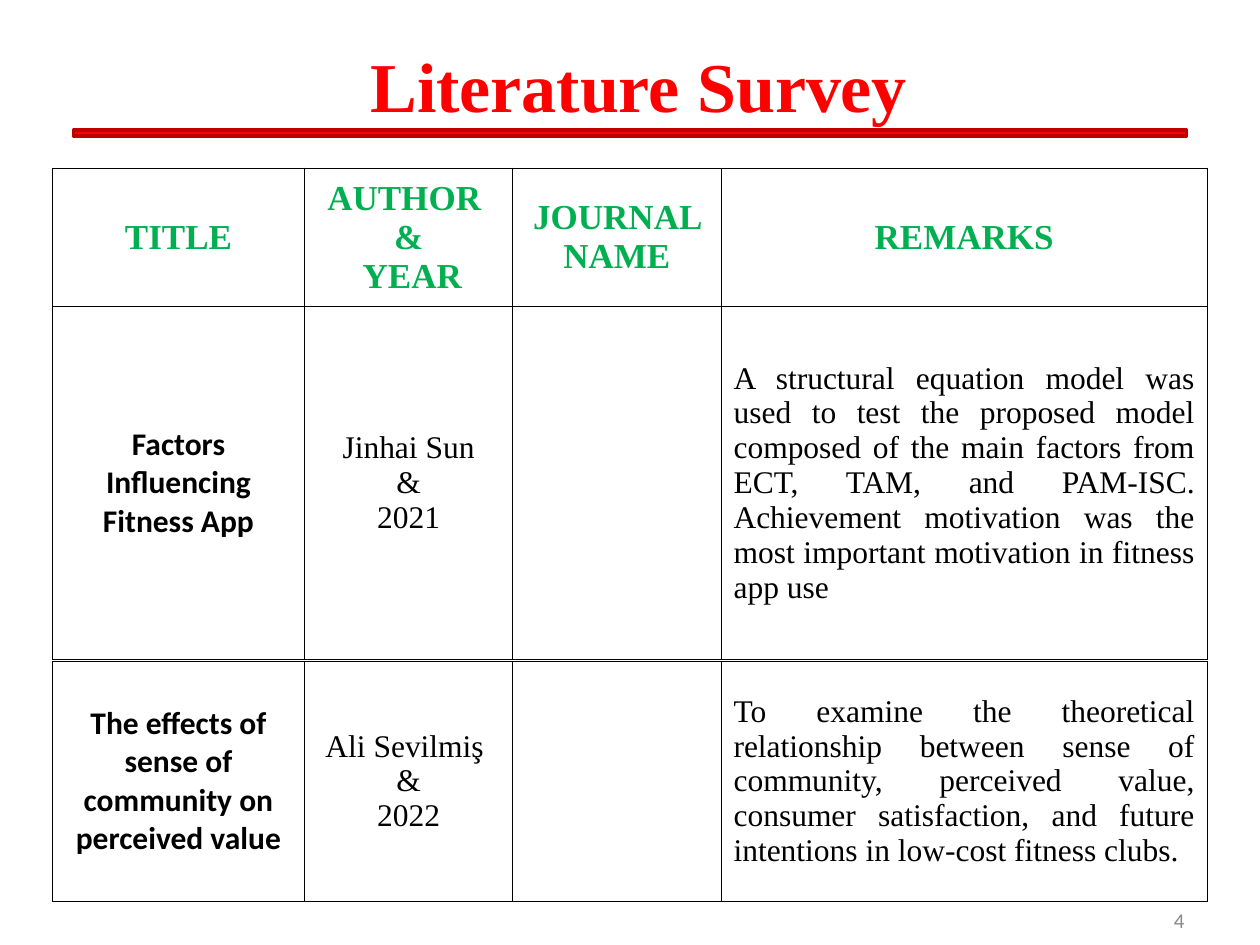
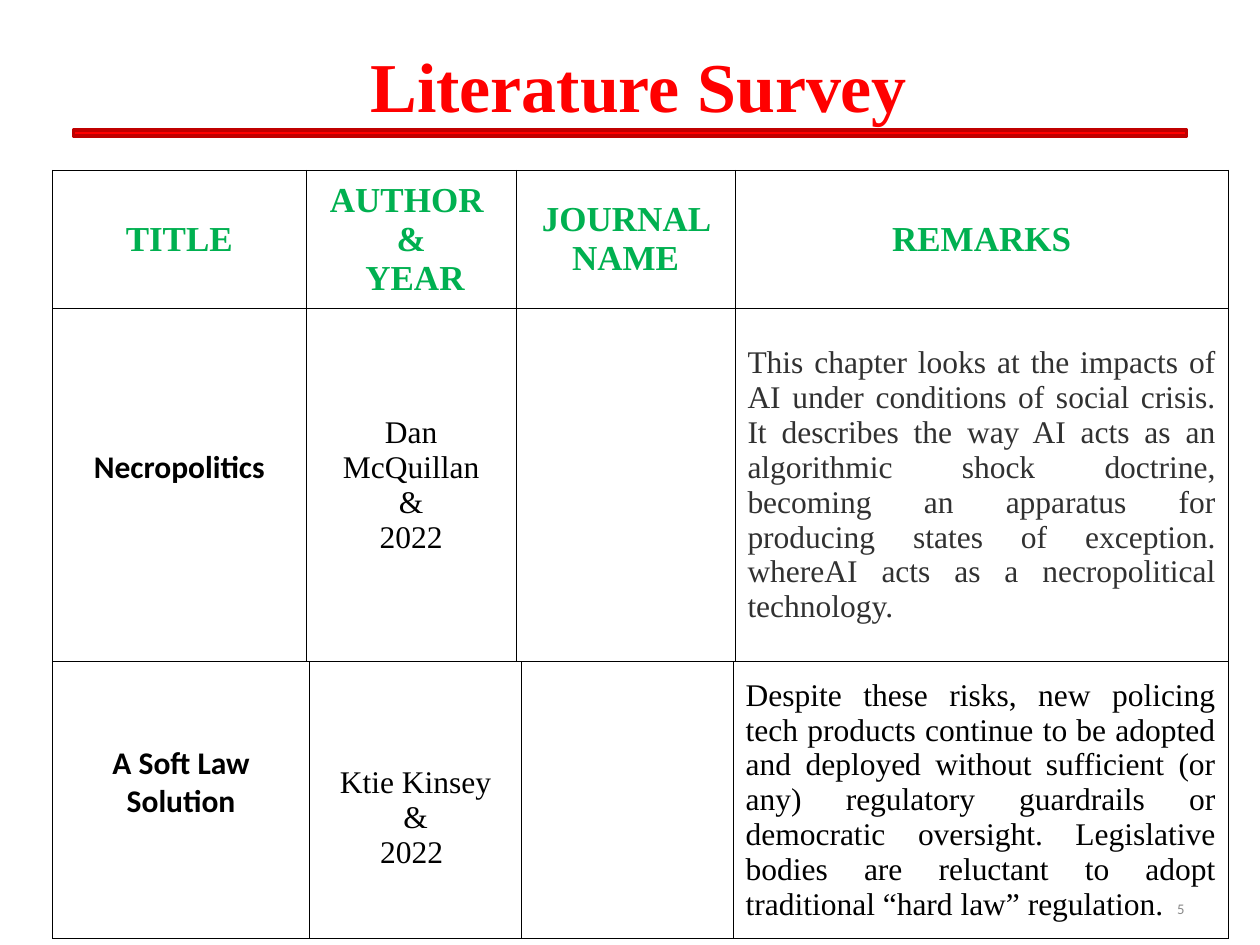
from lxml.etree import SubElement
from pptx import Presentation
from pptx.dml.color import RGBColor
from pptx.enum.shapes import MSO_SHAPE as Shape
from pptx.enum.text import MSO_ANCHOR as Anchor, PP_ALIGN as Align
from pptx.oxml import parse_xml
from pptx.oxml.ns import nsdecls, qn
from pptx.util import Pt

SERIF, SANS = "Times New Roman", "Calibri"
RED, DARK_RED, GREEN = "FF0000", "C00000", "00B050"
BLACK, CHARCOAL, GREY = "000000", "313131", "898989"
HEADER = ["TITLE", "AUTHOR \n&\n YEAR", "JOURNAL NAME", "REMARKS"]
HEADER_H, FIRST_H = 79.2, 201.6
SECOND_TOP = 378
NUDGE = 20


def rgb(hex_code):
    return RGBColor.from_string(hex_code)


class Deck:
    def __init__(self):
        self.prs = Presentation()
        self.prs.slide_width, self.prs.slide_height = Pt(720), Pt(540)
        self.s = None

    def run(self, p, text, font, size, color, bold=False, italic=False):
        r = p.add_run()
        r.text = text
        f = r.font
        f.name, f.size, f.bold, f.italic = font, Pt(size), bold, italic
        f.color.rgb = rgb(color)

    def slide(self):
        self.s = self.prs.slides.add_slide(self.prs.slide_layouts[5])
        self.title("Literature Survey")
        self.bar()

    def title(self, text):
        sp = self.s.shapes.title
        sp.left, sp.top, sp.width, sp.height = Pt(36), Pt(0), Pt(648), Pt(96)
        tf = sp.text_frame
        tf.vertical_anchor = Anchor.MIDDLE
        p = tf.paragraphs[0]
        p.alignment = Align.CENTER
        self.run(p, " ", SERIF, 40, RED, bold=True, italic=True)
        self.run(p, text, SERIF, 40, RED, bold=True)

    def bar(self):
        sp = self.s.shapes.add_shape(Shape.RECTANGLE, Pt(42), Pt(74.2), Pt(636), Pt(3.6))
        sp.shadow.inherit = False
        sp.fill.solid()
        sp.fill.fore_color.rgb = rgb(RED)
        sp.line.color.rgb = rgb(DARK_RED)
        sp.line.width = Pt(2)

    def borders(self, cell):
        tc_pr = cell._tc.get_or_add_tcPr()
        for i, side in enumerate(("lnL", "lnR", "lnT", "lnB")):
            ln = parse_xml(f'<a:{side} {nsdecls("a")} w="{Pt(0.45)}"/>')
            fill = SubElement(ln, qn("a:solidFill"))
            SubElement(fill, qn("a:srgbClr"), val=BLACK)
            tc_pr.insert(i, ln)

    def cell(self, cell, text, align, **style):
        cell.fill.background()
        self.borders(cell)
        cell.vertical_anchor = Anchor.MIDDLE
        if not text:
            return
        tf = cell.text_frame
        for i, line in enumerate(text.split("\n")):
            p = tf.add_paragraph() if i else tf.paragraphs[0]
            p.alignment = align
            self.run(p, line, **style)

    def table(self, top, widths, heights, rows, remark_color=BLACK):
        tbl = self.s.shapes.add_table(len(rows), len(widths), Pt(30), Pt(top),
                                      Pt(sum(widths)), Pt(sum(heights))).table
        tbl.first_row = tbl.horz_banding = False
        for col, width in zip(tbl.columns, widths):
            col.width = Pt(width)
        for row, height in zip(tbl.rows, heights):
            row.height = Pt(height)
        head = dict(font=SERIF, size=20, color=GREEN, bold=True)
        name = dict(font=SANS, size=18, color=BLACK, bold=True)
        body = dict(font=SERIF, size=18, color=BLACK)
        remark = dict(body, color=remark_color)
        for i, texts in enumerate(rows):
            is_head = texts is HEADER
            styles = [head] * 4 if is_head else [name, body, body, remark]
            for j, (text, style) in enumerate(zip(texts, styles)):
                align = Align.JUSTIFY if j == 3 and not is_head else Align.CENTER
                self.cell(tbl.cell(i, j), text, align, **style)
        return tbl

    def page_number(self, text, top, size, inset=3.6):
        sp = self.s.shapes.add_textbox(Pt(516), Pt(top), Pt(168), Pt(28.8))
        tf = sp.text_frame
        tf.word_wrap = True
        tf.vertical_anchor = Anchor.MIDDLE
        tf.margin_top = Pt(inset)
        p = tf.paragraphs[0]
        p.alignment = Align.RIGHT
        self.run(p, text, SANS, size, GREY)


deck = Deck()

deck.slide()
widths = [144, 119, 119, 278]
deck.table(96, widths, [HEADER_H, FIRST_H], [HEADER, [
    "Factors Influencing Fitness App", "Jinhai Sun\n&\n2021", "",
    "A structural equation model was used to test the proposed model composed of "
    "the main factors from ECT, TAM, and PAM-ISC. Achievement motivation was the "
    "most important motivation in fitness app use"]])
deck.table(SECOND_TOP, widths, [136.8], [[
    "The effects of sense of community on perceived value",
    "Ali Sevilmiş \n&\n2022", "",
    "To examine the theoretical relationship between sense of community, perceived "
    "value, consumer satisfaction, and future intentions in low-cost fitness clubs."]])
deck.page_number("4", 511.2, 12)

deck.slide()
tbl = deck.table(97.2, [145, 120, 125, 282], [HEADER_H, FIRST_H], [HEADER, [
    "Necropolitics", "Dan McQuillan\n&\n2022", "",
    "This chapter looks at the impacts of AI under conditions of social crisis. It "
    "describes the way AI acts as an algorithmic shock doctrine, becoming an "
    "apparatus for producing states of exception. whereAI acts as a necropolitical "
    "technology."]], remark_color=CHARCOAL)
tbl.cell(1, 0).margin_bottom = Pt(3.6 + NUDGE)
tbl = deck.table(SECOND_TOP, [147, 121, 121, 283], [158.4], [[
    "A Soft Law Solution", "Ktie Kinsey\n&\n2022 ", "",
    "Despite these risks, new policing tech products continue to be adopted and "
    "deployed without sufficient (or any) regulatory guardrails or democratic "
    "oversight. Legislative bodies are reluctant to adopt traditional “hard law” "
    "regulation."]])
tbl.cell(0, 0).margin_bottom = Pt(3.6 + NUDGE)
tbl.cell(0, 1).margin_top = Pt(3.6 + NUDGE)
deck.page_number("5", 500.4, 8.4, inset=12.6)

deck.prs.save("out.pptx")
